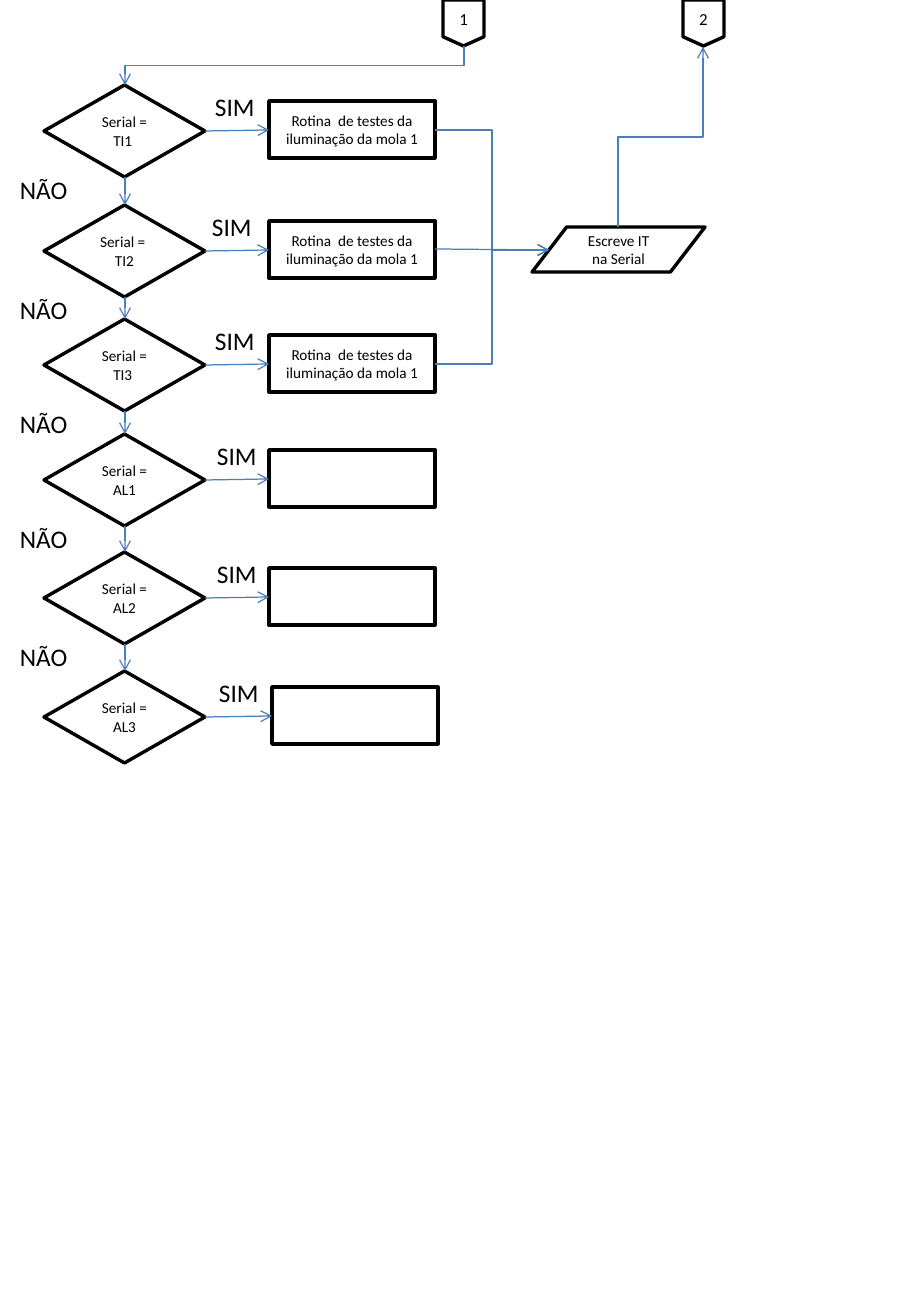
from lxml.etree import SubElement
from pptx import Presentation
from pptx.dml.color import RGBColor
from pptx.enum.shapes import MSO_CONNECTOR as LINK, MSO_SHAPE as SHAPE
from pptx.enum.text import MSO_ANCHOR as ANCHOR, MSO_AUTO_SIZE as FIT, PP_ALIGN as ALIGN
from pptx.oxml.ns import qn
from pptx.util import Pt

PX = 914400 / 121.5
BLACK = RGBColor(0, 0, 0)
WHITE = RGBColor(255, 255, 255)
BLUE = RGBColor(0x4B, 0x7E, 0xBC)
FONT = "Calibri"

TEST = "Rotina  de testes da iluminação da mola 1"
ROWS = [
    (85, "Serial = TI1 ", TEST, 203, 269),
    (205, "Serial =  TI2", TEST, 200, 269),
    (319, "Serial = TI3 ", TEST, 203, 269),
    (434, "Serial = AL1", "", 205, 269),
    (552, "Serial = AL2", "", 205, 269),
    (671, "Serial = AL3", "", 207, 272),
]
LEFT, WIDE, HIGH = 44, 161, 92
MID = 125
BOX_W, BOX_H = 166, 57


def emu(*nums):
    return [round(n * PX) for n in nums]


def write(para, text, size):
    run = para.add_run()
    run.text = text
    run.font.name = FONT
    run.font.size = Pt(size)
    run.font.color.rgb = BLACK


def node(slide, kind, x, y, w, h, text="", size=9):
    shape = slide.shapes.add_shape(kind, *emu(x, y, w, h))
    shape.shadow.inherit = False
    shape.fill.solid()
    shape.fill.fore_color.rgb = WHITE
    shape.line.color.rgb = BLACK
    shape.line.width = Pt(2)
    if text:
        frame = shape.text_frame
        frame.word_wrap = True
        frame.vertical_anchor = ANCHOR.MIDDLE
        para = frame.paragraphs[0]
        para.alignment = ALIGN.CENTER
        write(para, text, size)


def label(slide, x, y, w, text):
    frame = slide.shapes.add_textbox(*emu(x, y, w, 43)).text_frame
    frame.word_wrap = False
    frame.auto_size = FIT.SHAPE_TO_FIT_TEXT
    write(frame.paragraphs[0], text, 15)


def arrow(slide, x1, y1, x2, y2, kind=LINK.STRAIGHT):
    link = slide.shapes.add_connector(kind, *emu(x1, y1, x2, y2))
    link.line.color.rgb = BLUE
    link.line.width = Pt(0.75)
    props = link._element.spPr
    SubElement(props.find(qn("a:ln")), qn("a:tailEnd"), type="arrow")
    SubElement(props, qn("a:effectLst"))
    return link


def upright(slide, x1, y1, x2, y2):
    cx, cy = (x1 + x2) / 2, (y1 + y2) / 2
    dx, dy = (x2 - x1) / 2, (y2 - y1) / 2
    link = arrow(slide, cx - dy, cy + dx, cx + dy, cy - dx, LINK.ELBOW)
    link._element.spPr.find(qn("a:xfrm")).set("rot", str(90 * 60000))


def branch(slide, top, ask, task, yes_x, box_x):
    node(slide, SHAPE.FLOWCHART_DECISION, LEFT, top, WIDE, HIGH, ask)
    node(slide, SHAPE.FLOWCHART_PROCESS, box_x, top + 16, BOX_W, BOX_H, task)
    arrow(slide, LEFT + WIDE, top + 46, box_x, top + 45)
    label(slide, yes_x, top, 64, "SIM")


def descend(slide, top, below):
    base = top + HIGH
    arrow(slide, MID, base, MID, below)
    label(slide, 8, base - 9, 72, "NÃO")


def main():
    deck = Presentation()
    deck.slide_width, deck.slide_height = emu(911, 1316)
    slide = deck.slides.add_slide(deck.slide_layouts[6])

    for x, text in ((443, "1"), (683, "2")):
        node(slide, SHAPE.FLOWCHART_OFFPAGE_CONNECTOR, x, 0, 41, 46, text, 10)
    for row in ROWS:
        branch(slide, *row)
    for row, after in zip(ROWS, ROWS[1:]):
        descend(slide, row[0], after[0])

    node(slide, SHAPE.FLOWCHART_DATA, 532, 227, 173, 45, "Escreve IT na Serial")
    for y, kind in ((130, LINK.ELBOW), (364, LINK.ELBOW), (249, LINK.STRAIGHT)):
        arrow(slide, 435, y, 549, 250, kind)
    upright(slide, 464, 46, MID, 85)
    upright(slide, 618, 227, 703, 47)
    deck.save("out.pptx")


if __name__ == "__main__":
    main()
